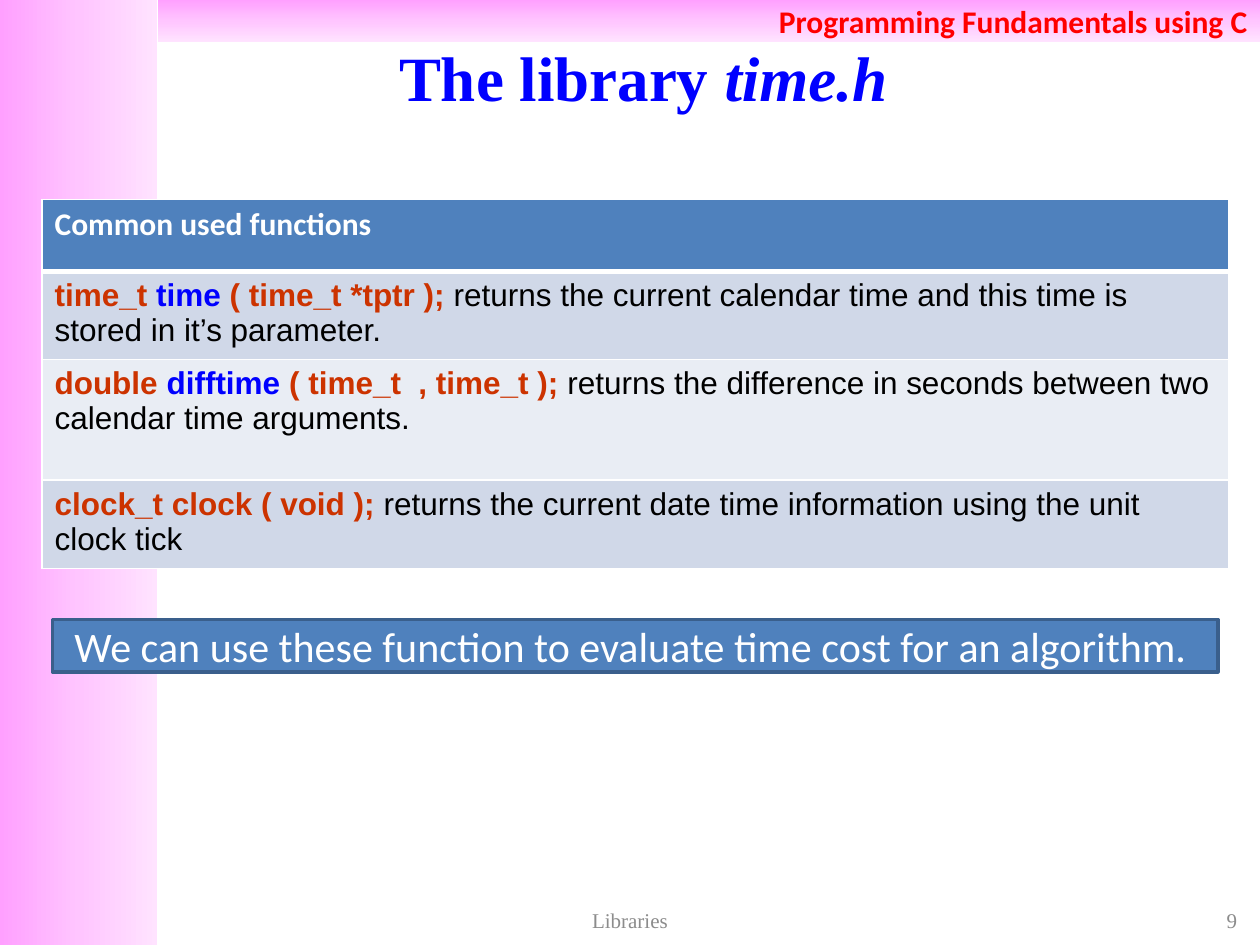
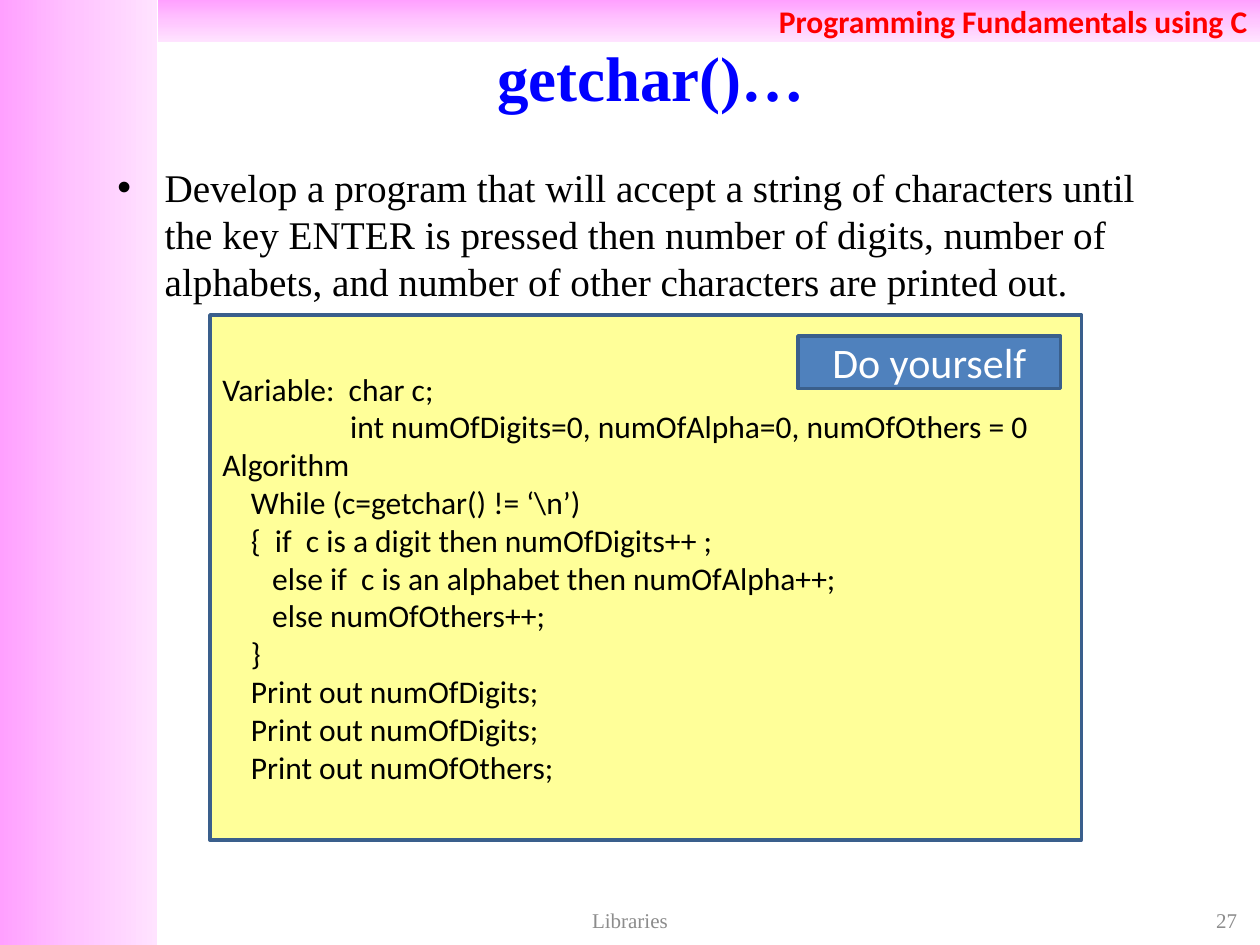
import copy
import pptx
import pptx.dml.color
import pptx.enum.shapes
import pptx.enum.text
import pptx.oxml
import pptx.oxml.ns
import pptx.util

Pt = pptx.util.Pt
qn = pptx.oxml.ns.qn
color = pptx.dml.color.RGBColor.from_string
LEFT = pptx.enum.text.PP_ALIGN.LEFT
CENTER = pptx.enum.text.PP_ALIGN.CENTER
RIGHT = pptx.enum.text.PP_ALIGN.RIGHT
MIDDLE = pptx.enum.text.MSO_ANCHOR.MIDDLE
RECTANGLE = pptx.enum.shapes.MSO_SHAPE.RECTANGLE

SERIF, SANS, CODE = "Times New Roman", "Calibri", "Arial"
BLUE, RED, BRICK = "0000FF", "FF0000", "CC3300"
WHITE, BLACK, GRAY = "FFFFFF", "000000", "8C8C8C"
PANEL, OUTLINE, YELLOW = "4F81BD", "3A5F8C", "FFFF99"
BAND_STOPS = [(0, "FFA0FF"), (0.5, "FFC5FF"), (1, "FFE3FF")]


def write(paragraph, runs, font, size, align=LEFT):
    paragraph.alignment = align
    for text, run_color, bold, italic in runs:
        run = paragraph.add_run()
        run.text = text
        run.font.name = font
        run.font.size = Pt(size)
        run.font.bold = bold
        run.font.italic = italic
        run.font.color.rgb = color(run_color)


def add_box(slide, box, fill=None):
    lengths = [Pt(length) for length in box]
    if fill is None:
        shape = slide.shapes.add_textbox(*lengths)
    else:
        shape = slide.shapes.add_shape(RECTANGLE, *lengths)
        shape.shadow.inherit = False
        shape.fill.solid()
        shape.fill.fore_color.rgb = color(fill)
        shape.line.color.rgb = color(OUTLINE)
        shape.line.width = Pt(2)
    shape.text_frame.word_wrap = True
    shape.text_frame.vertical_anchor = MIDDLE
    return shape


presentation = pptx.Presentation()
presentation.slide_width = Pt(720)
presentation.slide_height = Pt(540)

slides = []
for title_runs, number in [
    ([("The library ", BLUE, True, False), ("time.h ", BLUE, True, True)], "9"),
    ([("getchar()…", BLUE, True, False)], "27"),
]:
    slide = presentation.slides.add_slide(presentation.slide_layouts[6])
    slides.append(slide)

    for box, angle in [((0, 0, 90, 540), 0), ((90, 0, 630, 24), 270)]:
        band = add_box(slide, box, WHITE)
        band.line.fill.background()
        band.fill.gradient()
        stop_list = band.element.find(".//" + qn("a:gsLst"))
        stop_list.append(copy.deepcopy(stop_list[-1]))
        for stop, (position, stop_color) in zip(band.fill.gradient_stops, BAND_STOPS):
            stop.position = position
            stop.color.rgb = color(stop_color)
        band.fill.gradient_angle = angle
    course = [("Programming Fundamentals using C", RED, True, False)]
    write(band.text_frame.paragraphs[0], course, SANS, 18, RIGHT)

    for box, runs, size, align in [
        ((60, 21, 624, 45), title_runs, 36, CENTER),
        ((246, 516, 228, 20), [("Libraries", GRAY, False, False)], 12, CENTER),
        ((546, 516, 168, 20), [(number, GRAY, False, False)], 12, RIGHT),
    ]:
        shape = add_box(slide, box)
        write(shape.text_frame.paragraphs[0], runs, SERIF, size, align)

time_slide, getchar_slide = slides

function_rows = [
    (41, PANEL, SANS, [("Common used functions", WHITE, True, False)]),
    (41, "D0D8E8", CODE, [
        ("time_t ", BRICK, True, False),
        ("time", BLUE, True, False),
        (" ( time_t *tptr ); ", BRICK, True, False),
        ("returns the current calendar time and this time is stored in it’s parameter.",
         BLACK, False, False),
    ]),
    (69, "E9EDF4", CODE, [
        ("double ", BRICK, True, False),
        ("difftime", BLUE, True, False),
        (" ( time_t  , time_t ); ", BRICK, True, False),
        ("returns the difference in seconds between two calendar time arguments.",
         BLACK, False, False),
    ]),
    (41, "D0D8E8", CODE, [
        ("clock_t clock ( void ); ", BRICK, True, False),
        ("returns the current date time information using the unit clock tick",
         BLACK, False, False),
    ]),
]
table_height = sum(row[0] for row in function_rows)
table = time_slide.shapes.add_table(
    len(function_rows), 1, Pt(24), Pt(114), Pt(678), Pt(table_height)).table
for index, (height, fill, font, runs) in enumerate(function_rows):
    table.rows[index].height = Pt(height)
    cell = table.cell(index, 0)
    write(cell.text_frame.paragraphs[0], runs, font, 18)
    top_width = 3 if index == 1 else 1
    bottom_width = 3 if index == 0 else 1
    cell_properties = cell._tc.get_or_add_tcPr()
    for side, width in [("L", 1), ("R", 1), ("T", top_width), ("B", bottom_width)]:
        cell_properties.append(pptx.oxml.parse_xml(
            f'<a:ln{side} {pptx.oxml.ns.nsdecls("a")} w="{Pt(width)}">'
            f'<a:solidFill><a:srgbClr val="{WHITE}"/></a:solidFill></a:ln{side}>'))
    cell.fill.solid()
    cell.fill.fore_color.rgb = color(fill)

task = add_box(getchar_slide, (60, 90, 624, 88))
task.text_frame.vertical_anchor = pptx.enum.text.MSO_ANCHOR.TOP
paragraph = task.text_frame.paragraphs[0]
write(paragraph, [(
    "Develop a program that will accept a string of characters until the key ENTER "
    "is pressed then number of digits, number of alphabets, and number of other "
    "characters are printed out.", BLACK, False, False)], SERIF, 22.4)
paragraph_properties = paragraph._p.get_or_add_pPr()
paragraph_properties.set("marL", str(Pt(27)))
paragraph_properties.set("indent", str(Pt(-27)))
for tag, attribute, value in [("buFont", "typeface", CODE), ("buChar", "char", "•")]:
    bullet = pptx.oxml.parse_xml(
        f'<a:{tag} {pptx.oxml.ns.nsdecls("a")} {attribute}="{value}"/>')
    paragraph_properties.append(bullet)

algorithm_lines = [
    (0, "Variable:  char c;"),
    (73, "int numOfDigits=0, numOfAlpha=0, numOfOthers = 0"),
    (0, "Algorithm"),
    (16.3, "While (c=getchar() != ‘\\n’)"),
    (16.3, "{  if  c is a digit then numOfDigits++ ;"),
    (28.5, "else if  c is an alphabet then numOfAlpha++;"),
    (28.5, "else numOfOthers++;"),
    (16.3, "}"),
    (16.3, "Print out numOfDigits;"),
    (16.3, "Print out numOfDigits;"),
    (16.3, "Print out numOfOthers;"),
]
algorithm = add_box(getchar_slide, (120, 180, 498, 300), YELLOW)
for index, (indent, text) in enumerate(algorithm_lines):
    frame = algorithm.text_frame
    paragraph = frame.add_paragraph() if index else frame.paragraphs[0]
    write(paragraph, [(text, BLACK, False, False)], SANS, 18)
    paragraph._p.get_or_add_pPr().set("marL", str(Pt(indent)))

for slide, box, text in [
    (time_slide, (30, 354, 666, 30),
     "We can use these function to evaluate time cost for an algorithm. "),
    (getchar_slide, (456, 192, 150, 30), "Do yourself"),
]:
    callout = add_box(slide, box, PANEL)
    write(callout.text_frame.paragraphs[0], [(text, WHITE, False, False)], SANS, 24, CENTER)

presentation.save("out.pptx")
